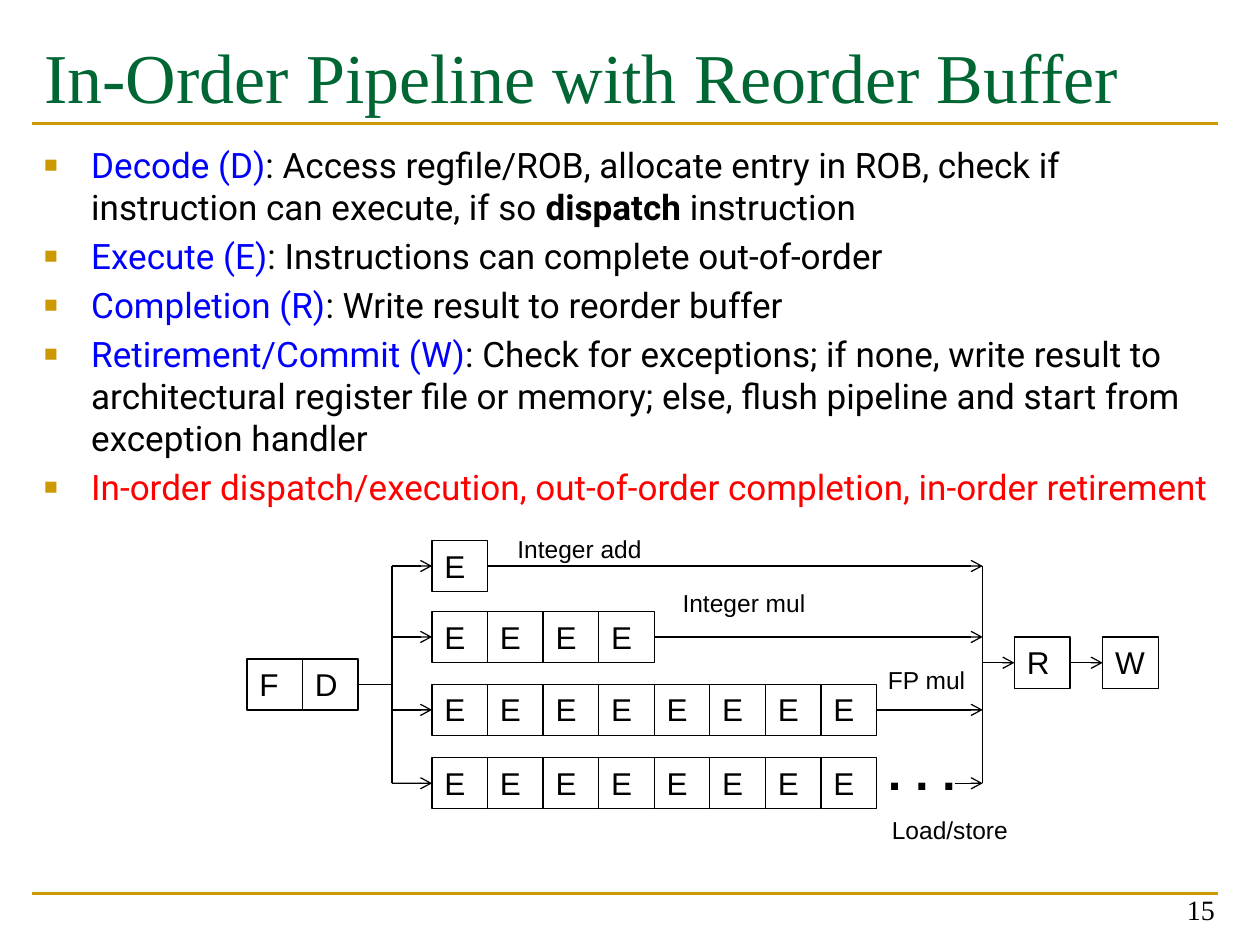
from lxml.etree import SubElement
from pptx import Presentation
from pptx.dml.color import RGBColor
from pptx.enum.shapes import MSO_CONNECTOR as Connector, MSO_SHAPE as Preset
from pptx.enum.text import MSO_ANCHOR as Anchor, PP_ALIGN as Align
from pptx.oxml.ns import qn
from pptx.util import Cm, Pt

COLORS = {"title": "006633", "gold": "CC9900", "term": "0000FF",
          "text": "000000", "stress": "FF0000", "box": "FFFFFF"}

FORMATS = {
    "title": {"name": "Times New Roman", "size": Pt(40)},
    "body": {"name": "Roboto", "size": Pt(20)},
    "strong": {"name": "Roboto", "size": Pt(20), "bold": True},
    "number": {"name": "Times New Roman", "size": Pt(16)},
    "stage": {"name": "Arial", "size": Pt(18)},
    "label": {"name": "Arial", "size": Pt(14)},
    "dots": {"name": "Arial", "size": Pt(28), "bold": True},
}

TITLE = "In-Order Pipeline with Reorder Buffer"
BULLETS = [
    [("Decode (D)", "body", "term"),
     (": Access regfile/ROB, allocate entry in ROB, check if instruction can execute, if so ",
      "body", "text"),
     ("dispatch", "strong", "text"),
     (" instruction", "body", "text")],
    [("Execute (E)", "body", "term"),
     (": Instructions can complete out-of-order", "body", "text")],
    [("Completion (R)", "body", "term"),
     (": Write result to reorder buffer", "body", "text")],
    [("Retirement/Commit (W)", "body", "term"),
     (": Check for exceptions; if none, write result to architectural register file or memory; "
      "else, flush pipeline and start from exception handler", "body", "text")],
    [("In-order dispatch/execution, out-of-order completion, in-order retirement",
      "body", "stress")],
]
PAGE_NUMBER = "15"

CELL_WIDTH, CELL_HEIGHT = 1.12, 1.03
FETCH_LEFT, FETCH_MIDDLE = 4.98, 13.8
EXECUTE_LEFT = 8.71
ISSUE_BUS, RESULT_BUS = 7.9, 19.81
REORDER_LEFT, WRITE_LEFT, RETIRE_MIDDLE = 20.45, 22.23, 13.36
MEMORY_ARROW_LEFT = 19.25

UNITS = [
    {"stages": "E", "middle": 11.41, "open": False},
    {"stages": "EEEE", "middle": 12.84, "open": False},
    {"stages": "EEEEEEEE", "middle": 14.31, "open": False},
    {"stages": "EEEEEEEE", "middle": 15.79, "open": True},
]
LABELS = [
    ("Integer add", "label", 10.18, 10.64, 3.02, 0.86),
    ("Integer mul", "label", 13.51, 11.73, 3.0, 0.86),
    ("FP mul", "label", 17.65, 13.28, 2.08, 0.86),
    ("Load/store", "label", 17.73, 16.31, 2.85, 0.86),
    (". . .", "dots", 17.65, 14.83, 1.9, 1.45),
]
RULES = [2.49, 18.01]
RULE_LEFT, RULE_RIGHT = 0.64, 24.56

presentation = Presentation()
presentation.slide_width, presentation.slide_height = Cm(25.4), Cm(19.05)
slide = presentation.slides.add_slide(presentation.slide_layouts[6])


def color(name):
    return RGBColor.from_string(COLORS[name])


def add_run(paragraph, text, style, color_name="text"):
    run = paragraph.add_run()
    run.text = text
    for attribute, value in FORMATS[style].items():
        setattr(run.font, attribute, value)
    run.font.color.rgb = color(color_name)


def add_text_box(left, top, width, height, wrap=True):
    shape = slide.shapes.add_textbox(Cm(left), Cm(top), Cm(width), Cm(height))
    shape.text_frame.word_wrap = wrap
    return shape.text_frame


def add_stages(letters, left, middle):
    stages = []
    for index, letter in enumerate(letters):
        shape = slide.shapes.add_shape(
            Preset.RECTANGLE, Cm(left + index * CELL_WIDTH),
            Cm(middle - CELL_HEIGHT / 2), Cm(CELL_WIDTH), Cm(CELL_HEIGHT))
        shape.shadow.inherit = False
        shape.fill.solid()
        shape.fill.fore_color.rgb = color("box")
        shape.line.color.rgb = color("text")
        shape.line.width = Pt(0.75)
        shape.text_frame.vertical_anchor = Anchor.TOP
        paragraph = shape.text_frame.paragraphs[0]
        paragraph.alignment = Align.LEFT
        add_run(paragraph, letter, "stage")
        stages.append(shape)
    return stages


def add_line(start, end, source=None, target=None, arrow=False,
             color_name="text", width=0.75):
    line = slide.shapes.add_connector(
        Connector.STRAIGHT, *(Cm(value) for value in (*start, *end)))
    line.line.color.rgb = color(color_name)
    line.line.width = Pt(width)
    if arrow:
        SubElement(line.line._get_or_add_ln(), qn("a:tailEnd"), type="arrow")
    SubElement(line._element.spPr, qn("a:effectLst"))
    if source is not None:
        line.begin_connect(source, 3)
    if target is not None:
        line.end_connect(target, 1)


def add_bullet(paragraph):
    properties = paragraph._p.get_or_add_pPr()
    properties.set("marL", str(Cm(0.95)))
    properties.set("indent", str(-Cm(0.95)))
    bullet_color = SubElement(properties, qn("a:buClr"))
    SubElement(bullet_color, qn("a:srgbClr"), val=COLORS["gold"])
    SubElement(properties, qn("a:buSzPct"), val="65000")
    SubElement(properties, qn("a:buFont"), typeface="Arial")
    SubElement(properties, qn("a:buChar"), char="■")


for height in RULES:
    add_line((RULE_LEFT, height), (RULE_RIGHT, height), color_name="gold", width=1.5)

title = add_text_box(0.64, 0.55, 24.76, 1.9)
add_run(title.paragraphs[0], TITLE, "title", "title")

body = add_text_box(0.64, 2.77, 24.46, 14.43)
for index, parts in enumerate(BULLETS):
    paragraph = body.add_paragraph() if index else body.paragraphs[0]
    paragraph.space_before = Pt(4)
    add_bullet(paragraph)
    for part in parts:
        add_run(paragraph, *part)

number = add_text_box(18.82, 17.53, 5.92, 1.27)
number.vertical_anchor = Anchor.BOTTOM
number.paragraphs[0].alignment = Align.RIGHT
add_run(number.paragraphs[0], PAGE_NUMBER, "number")

fetch, decode = add_stages("FD", FETCH_LEFT, FETCH_MIDDLE)
reorder, = add_stages("R", REORDER_LEFT, RETIRE_MIDDLE)
write, = add_stages("W", WRITE_LEFT, RETIRE_MIDDLE)

for unit in UNITS:
    middle = unit["middle"]
    stages = add_stages(unit["stages"], EXECUTE_LEFT, middle)
    add_line((ISSUE_BUS, middle), (EXECUTE_LEFT, middle), target=stages[0], arrow=True)
    unit_right = EXECUTE_LEFT + len(stages) * CELL_WIDTH
    start = MEMORY_ARROW_LEFT if unit["open"] else unit_right
    add_line((start, middle), (RESULT_BUS, middle),
             source=None if unit["open"] else stages[-1], arrow=True)

for bus in (ISSUE_BUS, RESULT_BUS):
    add_line((bus, UNITS[0]["middle"]), (bus, UNITS[-1]["middle"]))

add_line((FETCH_LEFT + 2 * CELL_WIDTH, FETCH_MIDDLE), (ISSUE_BUS, FETCH_MIDDLE), source=decode)
add_line((RESULT_BUS, RETIRE_MIDDLE), (REORDER_LEFT, RETIRE_MIDDLE), target=reorder, arrow=True)
add_line((REORDER_LEFT + CELL_WIDTH, RETIRE_MIDDLE), (WRITE_LEFT, RETIRE_MIDDLE),
         source=reorder, target=write, arrow=True)

for text, style, *place in LABELS:
    add_run(add_text_box(*place, wrap=False).paragraphs[0], text, style)

presentation.save("out.pptx")
